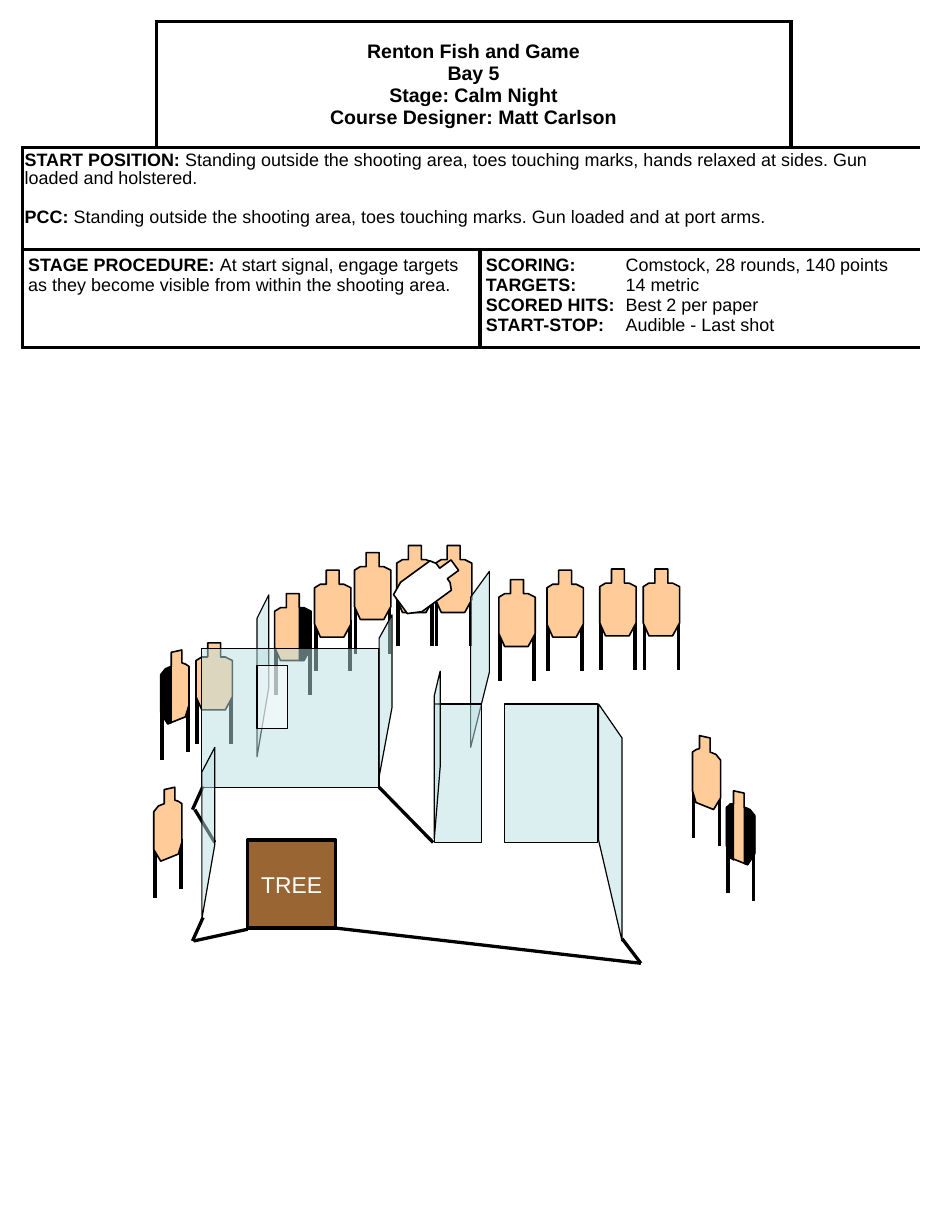
"""Builds the one-page course sheet for the Calm Night shooting stage."""
from lxml import etree
from pptx import Presentation
from pptx.dml.color import RGBColor
from pptx.enum.shapes import MSO_CONNECTOR, MSO_SHAPE
from pptx.enum.text import MSO_ANCHOR, PP_ALIGN
from pptx.oxml.ns import qn
from pptx.util import Inches, Pt

STRAIGHT = MSO_CONNECTOR.STRAIGHT
RECTANGLE = MSO_SHAPE.RECTANGLE
MIDDLE = MSO_ANCHOR.MIDDLE
CENTER = PP_ALIGN.CENTER
FONT = "Arial"
COLORS = {
    "black": "000000", "white": "FFFFFF", "tan": "FFCC99",
    "wall": "BBE0E3", "brown": "996633",
}


def paint(shape, fill, width, opacity=100):
    shape.shadow.inherit = False
    shape.fill.solid()
    shape.fill.fore_color.rgb = RGBColor.from_string(COLORS[fill])
    if opacity < 100:
        color = shape.fill._xPr.find(qn("a:solidFill"))[0]
        etree.SubElement(color, qn("a:alpha"), val=str(opacity * 1000))
    shape.line.color.rgb = RGBColor.from_string(COLORS["black"])
    shape.line.width = Pt(width)


def draw_line(shapes, x1, y1, x2, y2, width):
    line = shapes.add_connector(STRAIGHT, Inches(x1), Inches(y1), Inches(x2), Inches(y2))
    line.line.color.rgb = RGBColor.from_string(COLORS["black"])
    line.line.width = Pt(width)
    etree.SubElement(line._element.spPr, qn("a:effectLst"))


presentation = Presentation()
presentation.slide_width = Inches(8)
presentation.slide_height = Inches(10.5)
slide = presentation.slides.add_slide(presentation.slide_layouts[6])

column_widths = [1.14, 2.76, 2.65, 1.1]
row_heights = [1.08, 0.87, 0.83]
frame = slide.shapes.add_table(
    3, 4, Inches(0.19), Inches(0.18), Inches(sum(column_widths)), Inches(sum(row_heights)))
table = frame.table
table.first_row = False
table.horz_banding = False
for column, width in zip(table.columns, column_widths):
    column.width = Inches(width)
for row, height in zip(table.rows, row_heights):
    row.height = Inches(height)

title = [
    "Renton Fish and Game", "Bay 5", "Stage: Calm Night", "Course Designer: Matt Carlson",
]
start = [
    ("START POSITION:", " Standing outside the shooting area, toes touching marks, "
     "hands relaxed at sides. Gun loaded and holstered."),
    ("PCC: ", "Standing outside the shooting area, toes touching marks. "
     "Gun loaded and at port arms."),
]
procedure = [
    ("STAGE PROCEDURE: ", "At start signal, engage targets as they become visible "
     "from within the shooting area."),
]
scoring = [
    ("SCORING:", "\tComstock, 28 rounds, 140 points"),
    ("TARGETS:", "\t14 metric"),
    ("SCORED HITS:", "\tBest 2 per paper"),
    ("START-STOP:", "\tAudible - Last shot"),
]

regions = [
    (0, 0, 0, "RB"), (0, 1, 2, "LRTB"), (0, 3, 3, "LB"),
    (1, 0, 3, "LRTB"), (2, 0, 1, "LRTB"), (2, 2, 3, "LRTB"),
]
for row, first, last, sides in regions:
    for column in range(first, last + 1):
        cell = table.cell(row, column)
        properties = cell._tc.get_or_add_tcPr()
        for side in "LRTB":
            inner = (side == "L" and column > first) or (side == "R" and column < last)
            border = etree.SubElement(properties, qn(f"a:ln{side}"), w=str(Pt(2.25)))
            if side in sides and not inner:
                fill = etree.SubElement(border, qn("a:solidFill"))
                etree.SubElement(fill, qn("a:srgbClr"), val=COLORS["black"])
            else:
                etree.SubElement(border, qn("a:noFill"))
        cell.fill.solid()
        cell.fill.fore_color.rgb = RGBColor.from_string(COLORS["white"])
    if last > first:
        table.cell(row, first).merge(table.cell(row, last))

title_cell = table.cell(0, 1)
title_cell.vertical_anchor = MIDDLE
paragraph = title_cell.text_frame.paragraphs[0]
paragraph.alignment = CENTER
for index, text in enumerate(title):
    if index:
        paragraph.add_line_break()
    run = paragraph.add_run()
    run.text = text
    run.font.name = FONT
    run.font.size = Pt(12)
    run.font.bold = True
    run.font.color.rgb = RGBColor.from_string(COLORS["black"])

bodies = [
    (1, 0, start, 0.02, 0.04, 0.9, 13, None),
    (2, 0, procedure, 0.05, 0.05, 1, 0, None),
    (2, 2, scoring, 0.05, 0.05, 1, 0, 1.19),
]
for row, column, entries, side_margin, top_margin, spacing, gap, tab in bodies:
    cell = table.cell(row, column)
    cell.margin_left = cell.margin_right = Inches(side_margin)
    cell.margin_top = cell.margin_bottom = Inches(top_margin)
    for index, entry in enumerate(entries):
        text_frame = cell.text_frame
        paragraph = text_frame.add_paragraph() if index else text_frame.paragraphs[0]
        paragraph.line_spacing = spacing
        if index and gap:
            paragraph.space_before = Pt(gap)
        if tab:
            tabs = etree.SubElement(paragraph._p.get_or_add_pPr(), qn("a:tabLst"))
            etree.SubElement(tabs, qn("a:tab"), pos=str(Inches(tab)), algn="l")
        for text, bold in zip(entry, (True, False)):
            run = paragraph.add_run()
            run.text = text
            run.font.name = FONT
            run.font.size = Pt(11)
            run.font.bold = bold
            run.font.color.rgb = RGBColor.from_string(COLORS["black"])

facing = [
    (0.1, 0), (0.21, 0), (0.21, 0.12), (0.25, 0.12), (0.31, 0.15), (0.31, 0.46),
    (0.25, 0.57), (0.05, 0.57), (0, 0.46), (0, 0.15), (0.05, 0.12), (0.1, 0.12),
]
turned = [
    (0.09, 0.02), (0.18, 0), (0.18, 0.11), (0.21, 0.12), (0.24, 0.14), (0.24, 0.47),
    (0.21, 0.57), (0.06, 0.63), (0, 0.53), (0, 0.21), (0.04, 0.16), (0.09, 0.14),
]
facing_cover = [
    (0.21, 0.12), (0.21, 0.57), (0.25, 0.57), (0.31, 0.46), (0.31, 0.16), (0.25, 0.12),
]
outer_cover = [
    (0, 0.54), (0.06, 0.63), (0.09, 0.62), (0.09, 0.14), (0.06, 0.15), (0, 0.22),
]
inner_cover = [
    (0.18, 0.11), (0.21, 0.11), (0.24, 0.15), (0.24, 0.47), (0.21, 0.57), (0.18, 0.59),
]
facing_legs = [(0.01, 0.42, 0.86), (0.3, 0.42, 0.86)]
turned_legs = [(0.01, 0.51, 0.94), (0.23, 0.44, 0.87)]

facing_places = [
    (2.68, 4.86), (3.02, 4.71), (3.38, 4.65), (3.71, 4.65), (1.67, 5.48),
    (4.25, 4.94), (4.66, 4.86), (5.11, 4.85), (5.48, 4.85),
]
targets = [(x, y, facing, facing_legs, [], False, "tan", 0) for x, y in facing_places]
targets += [
    (2.34, 5.06, facing, facing_legs, [facing_cover], False, "tan", 0),
    (1.31, 6.71, turned, turned_legs, [], False, "tan", 0),
    (1.37, 5.54, turned, turned_legs, [outer_cover], False, "tan", 0),
    (5.9, 6.27, turned, turned_legs, [], True, "tan", 0),
    (6.19, 6.74, turned, turned_legs, [outer_cover, inner_cover], True, "tan", 0),
    (3.49, 4.7, facing, [], [], False, "white", 53.9),
]
for left, top, outline, legs, covers, mirrored, color, rotation in targets:
    shapes = slide.shapes.add_group_shape().shapes if legs else slide.shapes
    origin, sign = (left + 0.24, -1) if mirrored else (left, 1)
    for x, leg_top, leg_bottom in legs:
        leg_x = origin + sign * x
        draw_line(shapes, leg_x, top + leg_top, leg_x, top + leg_bottom, 2.25)
    for index, points in enumerate([outline] + covers):
        corners = [(Inches(origin + sign * x), Inches(top + y)) for x, y in points]
        builder = shapes.build_freeform(*corners[0])
        builder.add_line_segments(corners[1:])
        shape = builder.convert_to_shape()
        shape.rotation = rotation
        paint(shape, "black" if index else color, 0 if index else 1)

fault_lines = [
    (1.64, 8.02, 1.73, 7.82), (2.11, 7.92, 1.65, 8.02), (1.64, 6.9, 1.73, 6.7),
    (1.66, 6.9, 1.83, 7.18), (3.23, 6.71, 3.69, 7.18), (5.46, 8.21, 2.86, 7.91),
    (5.3, 8, 5.46, 8.21),
]
for ends in fault_lines:
    draw_line(slide.shapes, *ends, 2)

flat_walls = {
    "back": (1.72, 5.53, 1.51, 1.18), "window": (2.19, 5.67, 0.26, 0.54),
    "middle": (3.7, 6, 0.4, 1.18), "right": (4.3, 6, 0.79, 1.18),
}
walls = [
    (4.01, 5.09, 6.37, 4.17, 4.87, 5.73), (2.19, 5.27, 6.45, 2.29, 5.07, 5.86),
    "back", "window",
    (1.72, 6.58, 7.83, 1.83, 6.37, 7.2), (3.23, 5.44, 6.62, 3.34, 5.24, 6.03),
    "middle", (3.7, 5.93, 7.15, 3.75, 5.72, 6.54),
    "right", (5.1, 6, 7.16, 5.3, 6.29, 8.02),
]
for wall in walls:
    if wall in flat_walls:
        shape = slide.shapes.add_shape(RECTANGLE, *map(Inches, flat_walls[wall]))
    else:
        left, left_top, left_bottom, right, right_top, right_bottom = map(Inches, wall)
        builder = slide.shapes.build_freeform(right, right_bottom)
        builder.add_line_segments([(left, left_bottom), (left, left_top), (right, right_top)])
        shape = builder.convert_to_shape()
    paint(shape, "white" if wall == "window" else "wall", 0.75, 50)

tree = slide.shapes.add_shape(RECTANGLE, Inches(2.11), Inches(7.16), Inches(0.75), Inches(0.75))
paint(tree, "brown", 2.25)
tree.text_frame.word_wrap = False
tree.text_frame.vertical_anchor = MIDDLE
paragraph = tree.text_frame.paragraphs[0]
paragraph.alignment = CENTER
run = paragraph.add_run()
run.text = "TREE"
run.font.name = FONT
run.font.size = Pt(14)
run.font.color.rgb = RGBColor.from_string(COLORS["white"])

presentation.save("out.pptx")
